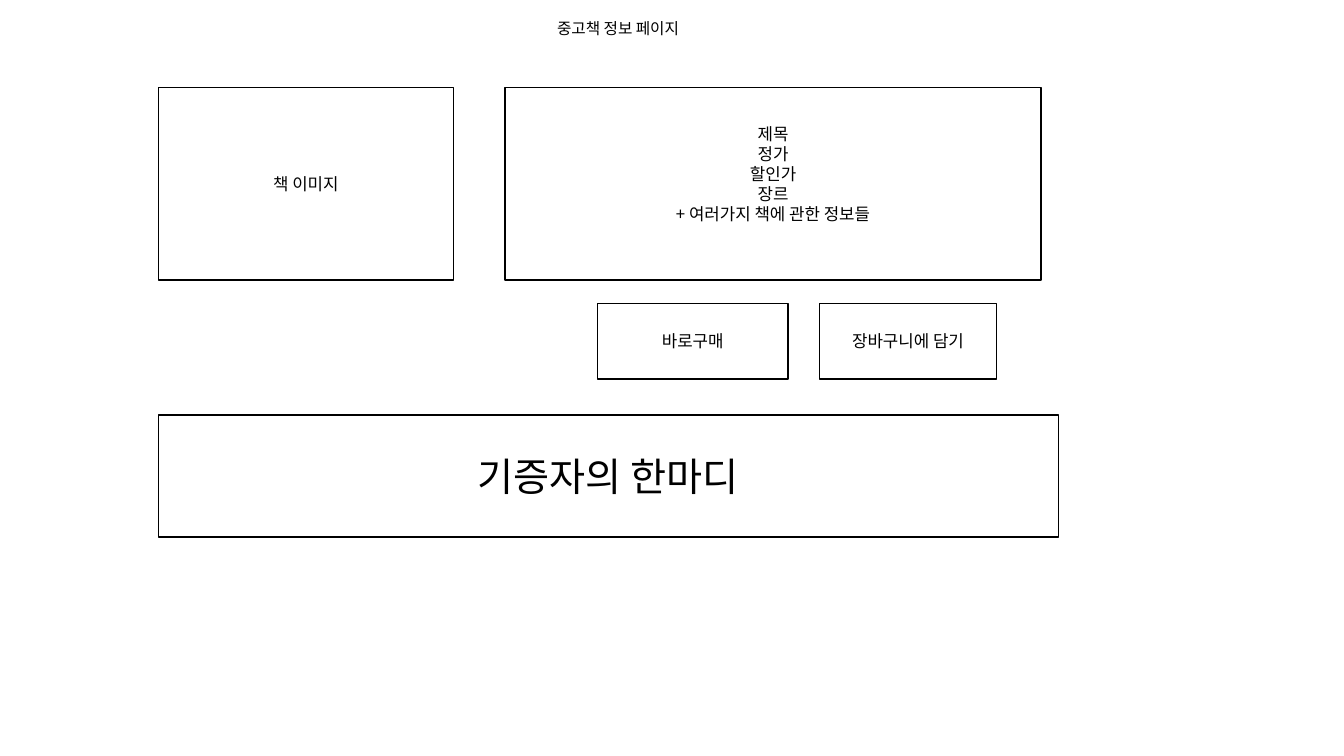
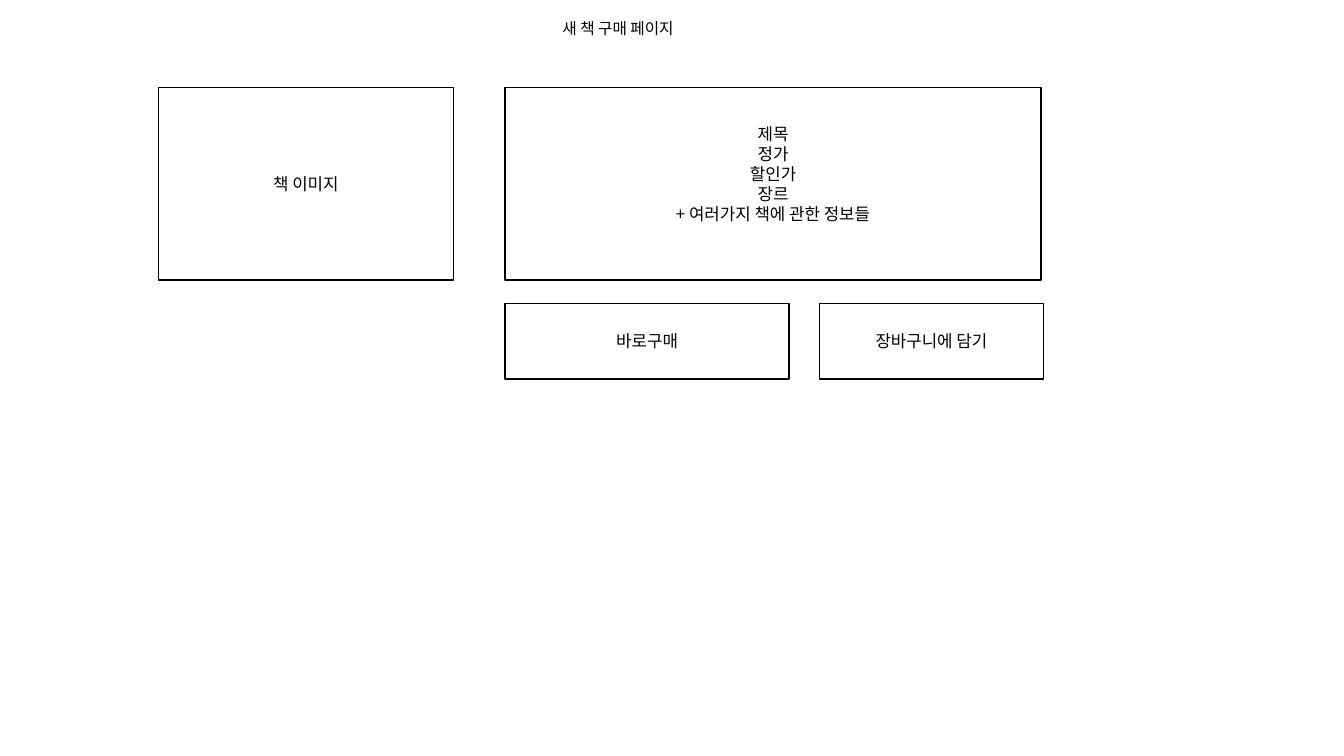
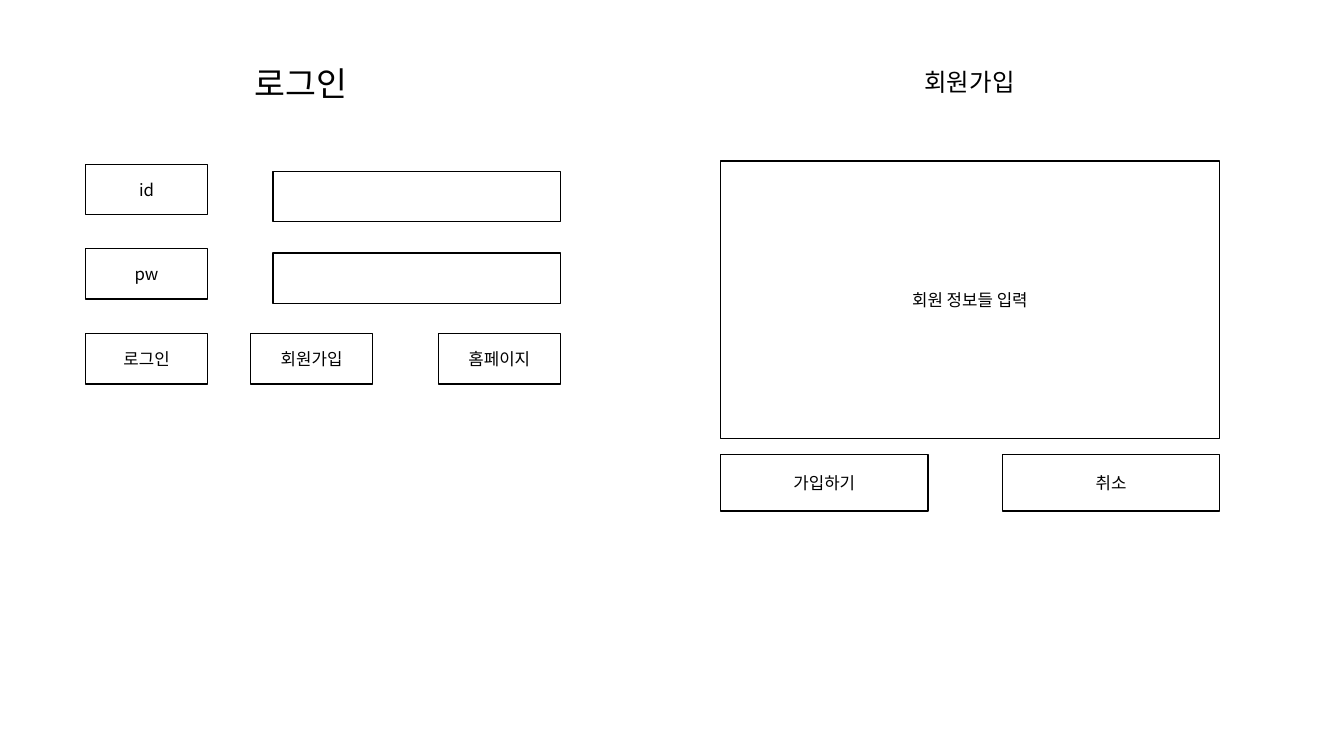
from lxml import etree
from pptx import Presentation
from pptx.dml.color import RGBColor
from pptx.enum.shapes import MSO_SHAPE as Preset
from pptx.enum.text import MSO_ANCHOR as Anchor, MSO_AUTO_SIZE as AutoSize, PP_ALIGN as Align
from pptx.oxml.ns import qn
from pptx.util import Cm, Pt

FONT = "Noto Sans CJK KR"
BLACK = "000000"
WHITE = "FFFFFF"


def write(frame, lines, size, spacing=None):
    frame.word_wrap = True
    frame.auto_size = AutoSize.NONE
    frame.text = "\n".join(lines)
    for paragraph in frame.paragraphs:
        paragraph.alignment = Align.CENTER
        paragraph.line_spacing = spacing
        paragraph.font.size = Pt(size)
        paragraph.font.color.rgb = RGBColor.from_string(BLACK)
        paragraph.font.name = FONT
        east_asian = etree.SubElement(paragraph.font._element, qn("a:ea"))
        east_asian.set("typeface", FONT)


def add_box(slide, left, top, width, height, *lines, size=12):
    box = slide.shapes.add_shape(Preset.RECTANGLE, Cm(left), Cm(top), Cm(width), Cm(height))
    box.shadow.inherit = False
    box.fill.solid()
    box.fill.fore_color.rgb = RGBColor.from_string(WHITE)
    box.line.color.rgb = RGBColor.from_string(BLACK)
    box.line.width = Pt(1)
    if lines:
        write(box.text_frame, lines, size)
        box.text_frame.vertical_anchor = Anchor.MIDDLE
    return box


prs = Presentation()
prs.slide_width, prs.slide_height = Cm(33.87), Cm(19.05)
title_only = prs.slide_layouts[5]

pages = [
    ("중고책 정보 페이지", (11.46, 0.48, 8.23, 0.61), 11.2, 0.7),
    ("새 책 구매 페이지", (11.46, 0.48, 8.23, 0.61), 11.2, 0.7),
    ("로그인", (3.48, 1.57, 8.23, 1.24), 24, 0.9),
]
for heading, place, size, spacing in pages:
    page = prs.slides.add_slide(title_only)
    title = page.shapes.title
    title.left, title.top, title.width, title.height = map(Cm, place)
    write(title.text_frame, [heading], size, spacing)
    title.text_frame.vertical_anchor = Anchor.TOP
used_book, new_book, account = prs.slides

book_details = ["제목", "정가", "할인가", "장르", "+ 여러가지 책에 관한 정보들"]
purchase_buttons = [
    (used_book, (15.06, 4.8), (20.65, 4.47)),
    (new_book, (12.73, 7.16), (20.65, 5.65)),
]
for page, buy_now, add_to_cart in purchase_buttons:
    add_box(page, 3.99, 2.21, 7.44, 4.85, "책 이미지")
    for (left, width), label in zip((buy_now, add_to_cart), ("바로구매", "장바구니에 담기")):
        add_box(page, left, 7.65, width, 1.9, label)
    details = add_box(page, 12.73, 2.21, 13.51, 4.85, *book_details)
    details.text_frame.margin_bottom = Cm(0.64)

add_box(used_book, 3.99, 10.46, 22.68, 3.07, "기증자의 한마디", size=28)

for label, label_top, field_top in [("id", 4.14, 4.32), ("pw", 6.27, 6.38)]:
    add_box(account, 2.16, label_top, 3.07, 1.27, label)
    add_box(account, 6.88, field_top, 7.24, 1.27)
for label, left in [("로그인", 2.16), ("회원가입", 6.32), ("홈페이지", 11.05)]:
    add_box(account, left, 8.41, 3.07, 1.27, label)

signup_heading = account.shapes.add_textbox(Cm(20.32), Cm(1.78), Cm(8.23), Cm(0.84))
write(signup_heading.text_frame, ["회원가입"], 17.5, 0.7)
add_box(account, 18.16, 4.06, 12.57, 6.99, "회원 정보들 입력")
for label, left, width in [("가입하기", 18.16, 5.23), ("취소", 25.27, 5.46)]:
    add_box(account, left, 11.46, width, 1.42, label)

prs.save("out.pptx")
